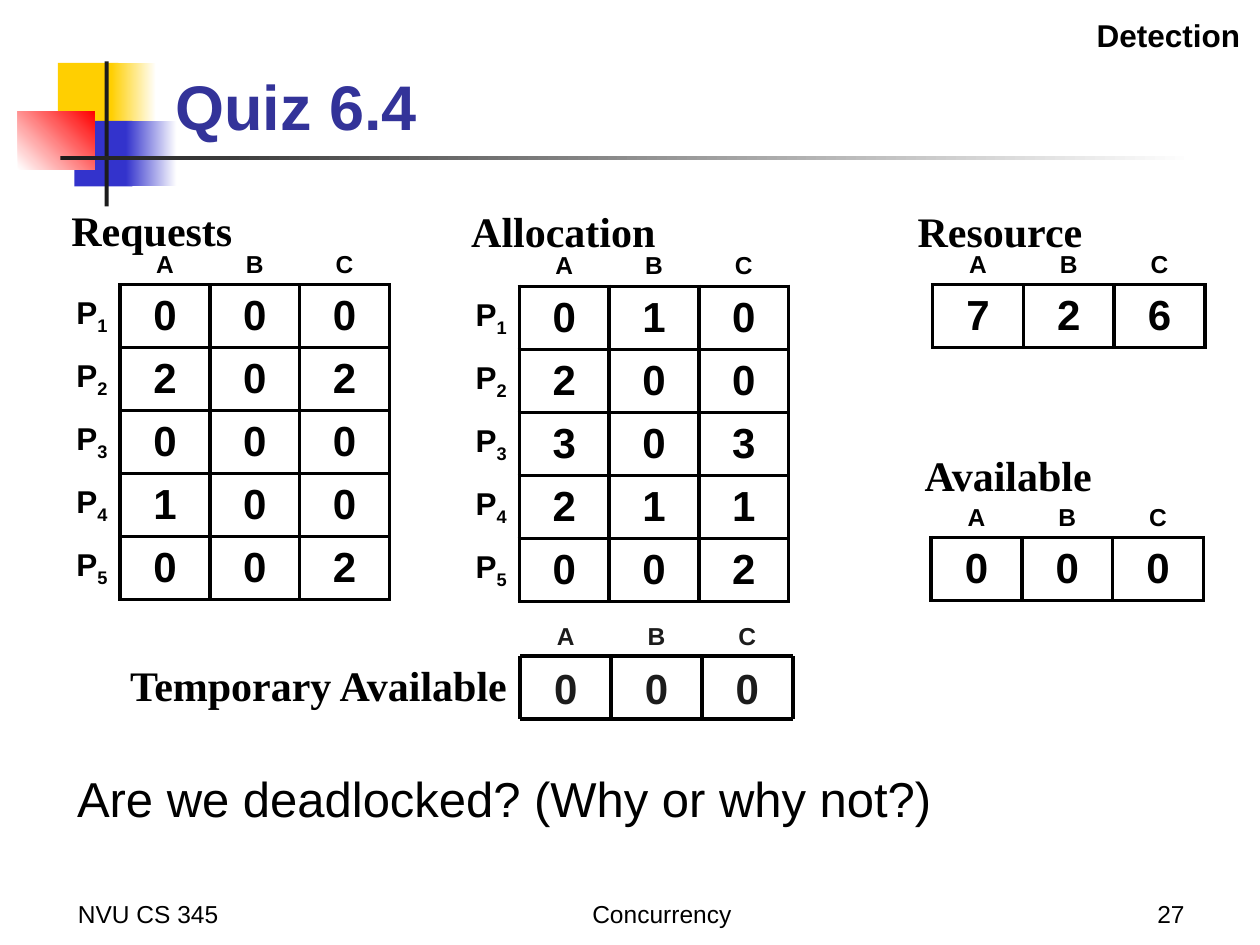
"""Build the "Quiz 6.4" deadlock detection slide."""
from lxml.etree import SubElement
from pptx import Presentation
from pptx.dml.color import RGBColor
from pptx.enum.shapes import MSO_CONNECTOR, MSO_SHAPE
from pptx.enum.text import MSO_ANCHOR as ANCHOR, MSO_AUTO_SIZE, PP_ALIGN as ALIGN
from pptx.oxml.ns import qn
from pptx.util import Cm, Pt

SANS, SERIF = "Arial", "Times New Roman"
BLACK, DARK, WHITE, NAVY = "000000", "1C1C1C", "FFFFFF", "333399"
YELLOW, BLUE, RED = "FFCF01", "3333CC", "FF0000"
LINE = 2.25
ROW = 1.27
RESOURCES = ["A", "B", "C"]

DECOR = [
    ((1.17, 1.27, 1.22, 1.32), [YELLOW], 0),
    ((2.24, 1.27, 0.91, 1.32), [YELLOW, WHITE], 0),
    ((1.5, 2.44, 1.17, 1.32), [BLUE], 0),
    ((2.54, 2.44, 1.02, 1.32), [BLUE, WHITE], 0),
    ((0.36, 2.24, 1.55, 1.17), [WHITE, RED], 45),
    ((2.11, 1.24, 0.08, 2.92), [DARK], 0),
    ((1.22, 3.15, 22.86, 0.08), [DARK, WHITE], 0),
]
FOOTERS = [
    ("NVU CS 345", 1.32, 5.28, ALIGN.LEFT),
    ("Concurrency", 9.32, 8.05, ALIGN.CENTER),
    ("27", 18.85, 5.28, ALIGN.RIGHT),
]
HEADINGS = [
    ("Requests", 1.19, 3.99, 3.89, ALIGN.LEFT),
    ("Allocation", 9.25, 4.01, 4.85, ALIGN.LEFT),
    ("Resource", 17.68, 4.01, 4.39, ALIGN.RIGHT),
    ("Available", 18.39, 8.94, 4.39, ALIGN.LEFT),
]
REQUESTS = [[0, 0, 0], [2, 0, 2], [0, 0, 0], [1, 0, 0], [0, 0, 2]]
ALLOCATION = [[0, 1, 0], [2, 0, 0], [3, 0, 3], [2, 1, 1], [0, 0, 2]]
TABLES = [
    (REQUESTS, True, 0.61, 4.52, 1.81, 1.22),
    (ALLOCATION, True, 8.66, 4.55, 1.81, 1.22),
    ([[7, 2, 6]], False, 18.8, 4.6, 1.83, 1.14),
    ([[0, 0, 0]], False, 18.77, 9.7, 1.83, 1.14),
]
TEMPORARY = [0, 0, 0]
TEMP_LEFT, TEMP_TOP, TEMP_COL, TEMP_HEAD = 10.49, 13.23, 1.83, 1.04


def rgb(code):
    return RGBColor.from_string(code)


def write(tf, text, size, color=BLACK, bold=True, font=SANS,
          align=ALIGN.CENTER, sub=""):
    p = tf.paragraphs[0]
    p.text = text
    p.alignment = align
    if sub:
        r = p.add_run()
        r.text = sub
        r.font._element.set("baseline", "-25000")
    for r in p.runs:
        r.font.size, r.font.bold, r.font.name = Pt(size), bold, font
        r.font.color.rgb = rgb(color)


def add_text(shapes, box, text, size, anchor=ANCHOR.TOP, **style):
    tf = shapes.add_textbox(*map(Cm, box)).text_frame
    tf.word_wrap = True
    tf.vertical_anchor = anchor
    write(tf, text, size, **style)


def add_rect(shapes, box, colors, angle=0):
    s = shapes.add_shape(MSO_SHAPE.RECTANGLE, *map(Cm, box))
    s.shadow.inherit = False
    s.line.fill.background()
    if len(colors) == 1:
        s.fill.solid()
        s.fill.fore_color.rgb = rgb(colors[0])
    else:
        s.fill.gradient()
        s.fill.gradient_angle = angle
        for stop, color in zip(s.fill.gradient_stops, colors):
            stop.color.rgb = rgb(color)
    return s


def add_line(shapes, *ends):
    s = shapes.add_connector(MSO_CONNECTOR.STRAIGHT, *map(Cm, ends))
    s.line.color.rgb = rgb(BLACK)
    s.line.width = Pt(LINE)
    SubElement(s._element.spPr, qn("a:effectLst"))


def set_borders(cell, sides):
    pr = cell._tc.get_or_add_tcPr()
    for i, side in enumerate("LRTB"):
        ln = SubElement(pr, qn(f"a:ln{side}"), w=str(Pt(LINE)))
        if side in sides:
            fill = SubElement(ln, qn("a:solidFill"))
            SubElement(fill, qn("a:srgbClr"), val=BLACK)
        else:
            SubElement(ln, qn("a:noFill"))
        pr.insert(i, ln)


def add_matrix(shapes, values, labelled, left, top, col, head):
    first = int(labelled)
    rows, cols = len(values) + 1, len(RESOURCES) + first
    frame = shapes.add_table(rows, cols, Cm(left), Cm(top), Cm(cols * col),
                             Cm(head + ROW * len(values)))
    table = frame.table
    table.first_row = table.horz_banding = False
    for c in table.columns:
        c.width = Cm(col)
    for i, row in enumerate(table.rows):
        row.height = Cm(ROW if i else head)
        for j, cell in enumerate(row.cells):
            cell.vertical_anchor = ANCHOR.MIDDLE if i else ANCHOR.BOTTOM
            cell.fill.background()
            tf, k = cell.text_frame, j - first
            sides = ""
            if i and k >= 0:
                cell.fill.solid()
                cell.fill.fore_color.rgb = rgb(WHITE)
                write(tf, str(values[i - 1][k]), 24)
                sides = "LRTB"
            elif i:
                write(tf, "P", 18, align=ALIGN.RIGHT, sub=str(i))
                sides = "R"
            elif k >= 0:
                write(tf, RESOURCES[k], 14)
                sides = "B"
            set_borders(cell, sides)


def add_temporary(shapes):
    right, bottom = TEMP_LEFT + TEMP_COL * len(TEMPORARY), TEMP_TOP + ROW
    edges = [TEMP_LEFT + TEMP_COL * i for i in range(len(TEMPORARY) + 1)]
    for x, name, value in zip(edges, RESOURCES, TEMPORARY):
        s = add_rect(shapes, (x, TEMP_TOP, TEMP_COL, ROW), [WHITE])
        s.text_frame.vertical_anchor = ANCHOR.MIDDLE
        write(s.text_frame, str(value), 24, DARK)
        add_text(shapes, (x, TEMP_TOP - TEMP_HEAD, TEMP_COL, TEMP_HEAD), name,
                 14, ANCHOR.BOTTOM, color=DARK)
    for x in edges:
        add_line(shapes, x, TEMP_TOP, x, bottom)
    for y in (TEMP_TOP, bottom):
        add_line(shapes, TEMP_LEFT, y, right, y)
    add_text(shapes, (1.73, 13.18, 8.74, ROW), "Temporary Available", 24,
             font=SERIF, align=ALIGN.RIGHT)


def fill_placeholder(sp, box, anchor, text, size, color, bold):
    sp.left, sp.top, sp.width, sp.height = map(Cm, box)
    tf = sp.text_frame
    tf.auto_size = MSO_AUTO_SIZE.NONE
    tf.vertical_anchor = anchor
    write(tf, text, size, color, bold, align=ALIGN.LEFT)
    pr = tf.paragraphs[0]._p.get_or_add_pPr()
    pr.set("marL", "0")
    pr.set("indent", "0")
    tf.paragraphs[0].space_before = Pt(0)
    SubElement(pr, qn("a:buNone"))
    sp._element.getparent().append(sp._element)


def main():
    prs = Presentation()
    prs.slide_width, prs.slide_height = Cm(25.4), Cm(19.05)
    shapes = prs.slides.add_slide(prs.slide_layouts[1]).shapes
    title, body = shapes.placeholders
    for box, colors, angle in DECOR:
        add_rect(shapes, box, colors, angle)
    for text, left, width, align in FOOTERS:
        add_text(shapes, (left, 17.58, width, ROW), text, 14, ANCHOR.BOTTOM,
                 bold=False, align=align)
    add_temporary(shapes.add_group_shape().shapes)
    fill_placeholder(title, (3.28, 1.09, 19.89, 1.93), ANCHOR.BOTTOM,
                     "Quiz 6.4", 36, NAVY, True)
    fill_placeholder(body, (1.3, 15.37, 22.28, 1.78), ANCHOR.TOP,
                     "Are we deadlocked? (Why or why not?)", 28, BLACK, False)
    for matrix in TABLES:
        add_matrix(shapes, *matrix)
    for text, left, top, width, align in HEADINGS:
        add_text(shapes, (left, top, width, ROW), text, 24, font=SERIF,
                 align=align)
    add_text(shapes, (17.96, 0.2, 7.29, 1.02), "Detection", 18,
             align=ALIGN.RIGHT)
    prs.save("out.pptx")


if __name__ == "__main__":
    main()
